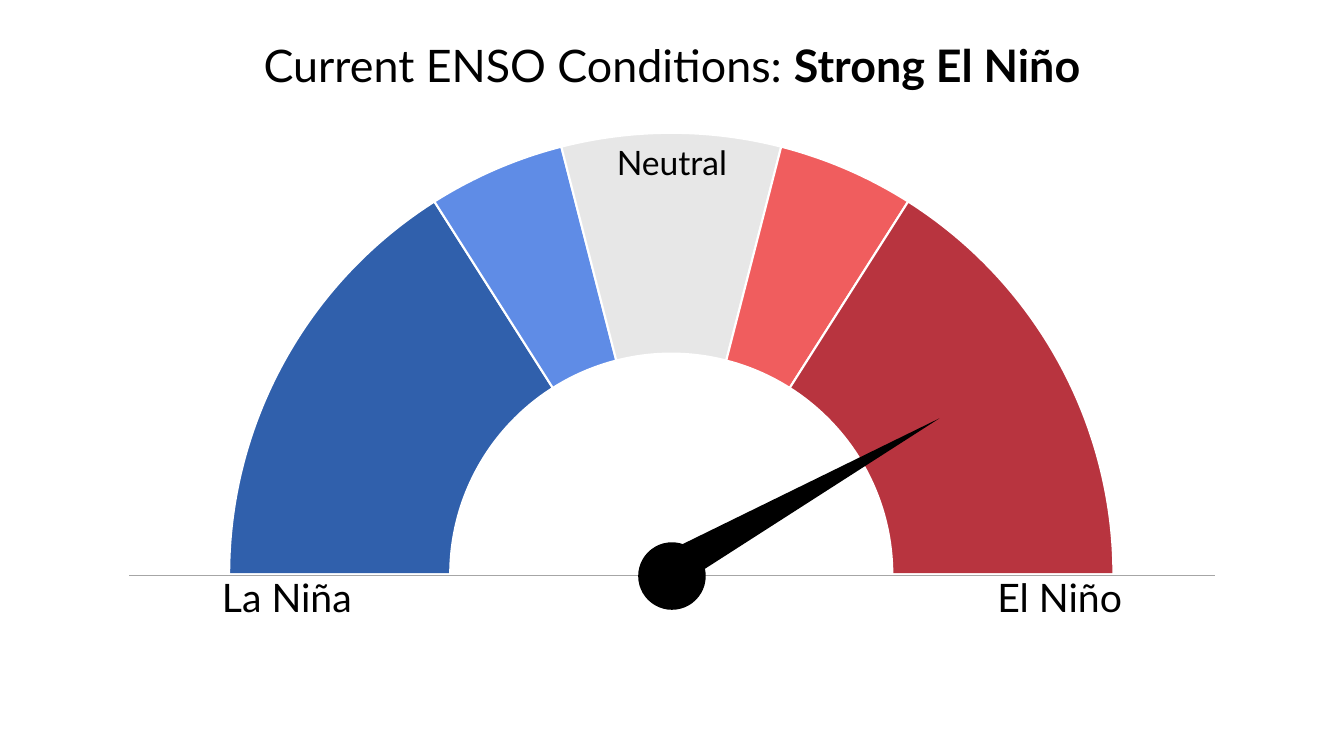
from dataclasses import dataclass

import pptx
import pptx.chart.data
import pptx.dml.color
import pptx.enum.chart
import pptx.enum.shapes
import pptx.enum.text
import pptx.oxml
import pptx.oxml.ns
import pptx.util
from pptx.util import Inches


@dataclass(frozen=True)
class Theme:
    ink: str = "000000"
    paper: str = "FFFFFF"
    baseline: str = "A6A6A6"
    strong_la_nina: str = "3060AC"
    weak_la_nina: str = "5F8CE6"
    neutral: str = "E7E7E7"
    weak_el_nino: str = "F05D5E"
    strong_el_nino: str = "B8343F"
    font: str = "Lato"
    chart_font: str = "Calibri"
    title_size: int = 32
    end_size: int = 28
    neutral_size: int = 24
    chart_size: int = 10


@dataclass(frozen=True)
class Segment:
    value: int
    color: str | None


@dataclass(frozen=True)
class Label:
    runs: tuple[tuple[str, bool], ...]
    left: float
    top: float
    width: float
    height: float
    size: int
    wrap: bool = True


THEME = Theme()
# The colourless last segment is the hidden lower half of the ring
SEGMENTS = (
    Segment(16, THEME.strong_la_nina),
    Segment(5, THEME.weak_la_nina),
    Segment(8, THEME.neutral),
    Segment(5, THEME.weak_el_nino),
    Segment(16, THEME.strong_el_nino),
    Segment(50, None),
)
LABELS = (
    Label((("La Niña", False),), 2.1, 5.64, 1.49, 0.57, THEME.end_size, False),
    Label((("El Niño", False),), 9.79, 5.64, 1.44, 0.57, THEME.end_size, False),
    Label((("Neutral", False),), 5.75, 1.36, 1.83, 0.5, THEME.neutral_size),
    Label((("Current ENSO Conditions: ", False), ("Strong El Niño", True)),
          2.34, 0.32, 8.65, 0.64, THEME.title_size),
)


def rgb(color: str) -> pptx.dml.color.RGBColor:
    return pptx.dml.color.RGBColor.from_string(color)


def add_gauge(slide) -> None:
    data = pptx.chart.data.CategoryChartData()
    data.categories = [str(i + 1) for i in range(len(SEGMENTS))]
    data.add_series("Series 1", [segment.value for segment in SEGMENTS])
    chart = slide.shapes.add_chart(
        pptx.enum.chart.XL_CHART_TYPE.DOUGHNUT,
        Inches(0), Inches(1.01), Inches(13.33), Inches(9.08), data).chart
    chart.has_legend = False
    chart.has_title = False
    chart.font.name = THEME.chart_font
    chart.font.size = pptx.util.Pt(THEME.chart_size)
    chart.font.color.rgb = rgb(THEME.ink)
    plot = chart.plots[0]
    plot.vary_by_categories = True
    plot.has_data_labels = False

    for index, segment in enumerate(SEGMENTS):
        point_format = plot.series[0].points[index].format
        if segment.color is None:
            point_format.fill.background()
        else:
            point_format.fill.solid()
            point_format.fill.fore_color.rgb = rgb(segment.color)
        point_format.line.color.rgb = rgb(THEME.paper)
        point_format.line.width = pptx.util.Pt(1.5)

    # Ring rotation, hole and plot area
    chart_space = chart._chartSpace
    chart_space.xpath(".//c:firstSliceAng")[0].set("val", "270")
    chart_space.xpath(".//c:holeSize")[0].set("val", "75")
    plot_area = chart_space.xpath(".//c:plotArea")[0]
    for layout in plot_area.xpath("./c:layout"):
        plot_area.remove(layout)
    places = "".join(f'<c:{tag} val="{value}"/>' for tag, value in (
        ("layoutTarget", "inner"), ("xMode", "edge"), ("yMode", "edge"),
        ("x", 0.143), ("y", 0.034), ("w", 0.713), ("h", 0.966)))
    plot_area.insert(0, pptx.oxml.parse_xml(
        f'<c:layout {pptx.oxml.ns.nsdecls("c")}>'
        f"<c:manualLayout>{places}</c:manualLayout></c:layout>"))


def add_baseline(slide) -> None:
    line = slide.shapes.add_connector(
        pptx.enum.shapes.MSO_CONNECTOR.STRAIGHT,
        Inches(1.28), Inches(5.71), Inches(12.05), Inches(5.71))
    line.line.color.rgb = rgb(THEME.baseline)
    line.line.width = pptx.util.Pt(0.5)
    line._element.spPr.append(pptx.oxml.parse_xml(
        f'<a:effectLst {pptx.oxml.ns.nsdecls("a")}/>'))


def add_label(slide, label: Label) -> None:
    box = slide.shapes.add_textbox(Inches(label.left), Inches(label.top),
                                   Inches(label.width), Inches(label.height))
    frame = box.text_frame
    frame.word_wrap = label.wrap
    frame.auto_size = pptx.enum.text.MSO_AUTO_SIZE.SHAPE_TO_FIT_TEXT
    frame.vertical_anchor = pptx.enum.text.MSO_ANCHOR.MIDDLE
    paragraph = frame.paragraphs[0]
    paragraph.alignment = pptx.enum.text.PP_ALIGN.CENTER
    paragraph.font.name = THEME.font
    paragraph.font.size = pptx.util.Pt(label.size)
    paragraph.font.color.rgb = rgb(THEME.ink)
    for text, bold in label.runs:
        run = paragraph.add_run()
        run.text = text
        if bold:
            run.font.bold = True


def add_needle_part(slide, kind: pptx.enum.shapes.MSO_SHAPE, left: float, top: float,
                    width: float, height: float, rotation: float = 0) -> None:
    shape = slide.shapes.add_shape(kind, Inches(left), Inches(top),
                                   Inches(width), Inches(height))
    shape.rotation = rotation
    shape.shadow.inherit = False
    shape.fill.solid()
    shape.fill.fore_color.rgb = rgb(THEME.ink)
    shape.line.fill.background()


presentation = pptx.Presentation()
presentation.slide_width = Inches(13.33)
presentation.slide_height = Inches(7.5)
slide = presentation.slides.add_slide(presentation.slide_layouts[6])

# Gauge and its baseline
add_gauge(slide)
add_baseline(slide)

# Title and scale labels
for label in LABELS:
    add_label(slide, label)

# Hub and needle
add_needle_part(slide, pptx.enum.shapes.MSO_SHAPE.OVAL, 6.33, 5.38, 0.67, 0.67)
add_needle_part(slide, pptx.enum.shapes.MSO_SHAPE.ISOSCELES_TRIANGLE,
                7.69, 3.31, 0.38, 3.3, 60.6)

presentation.save("out.pptx")
